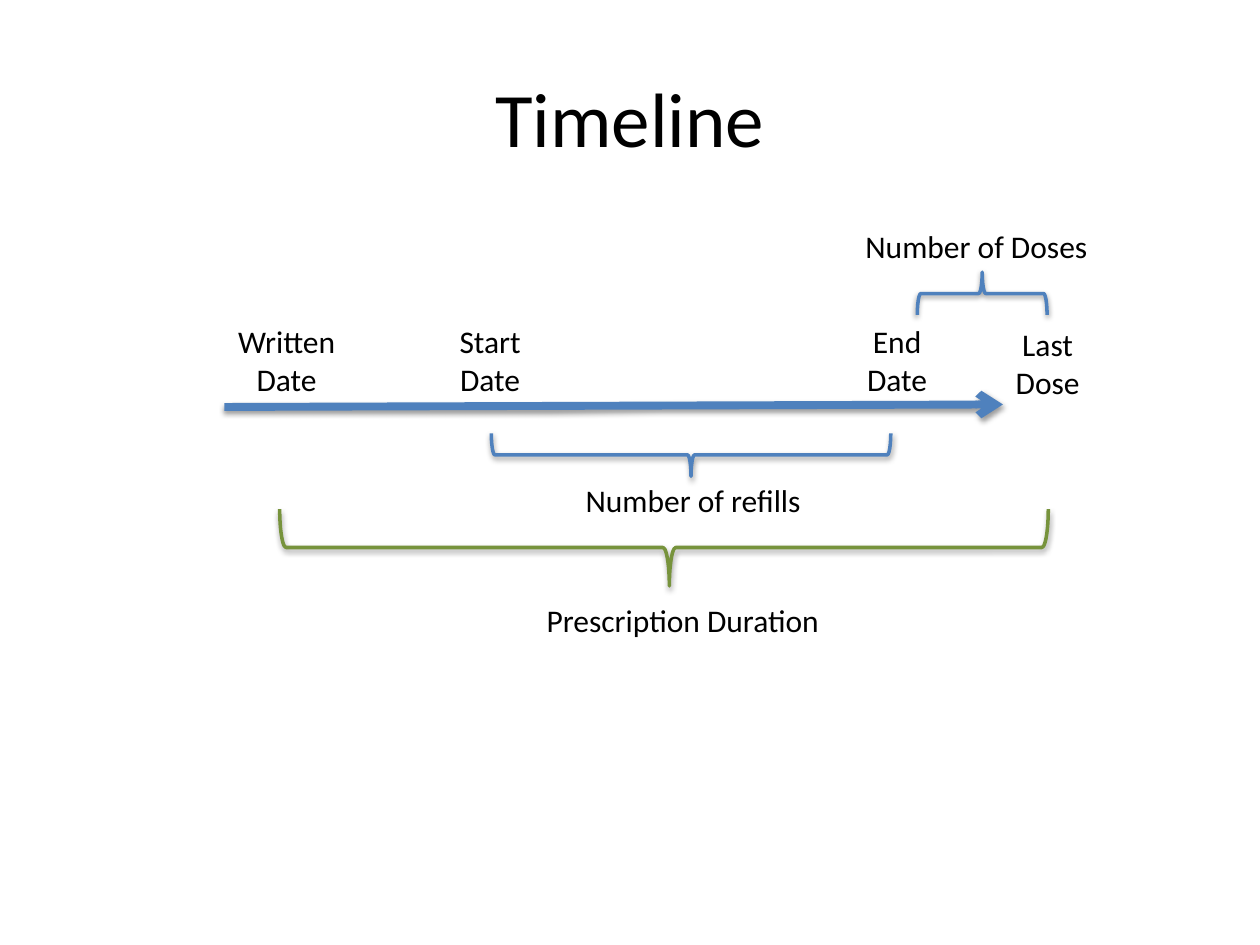
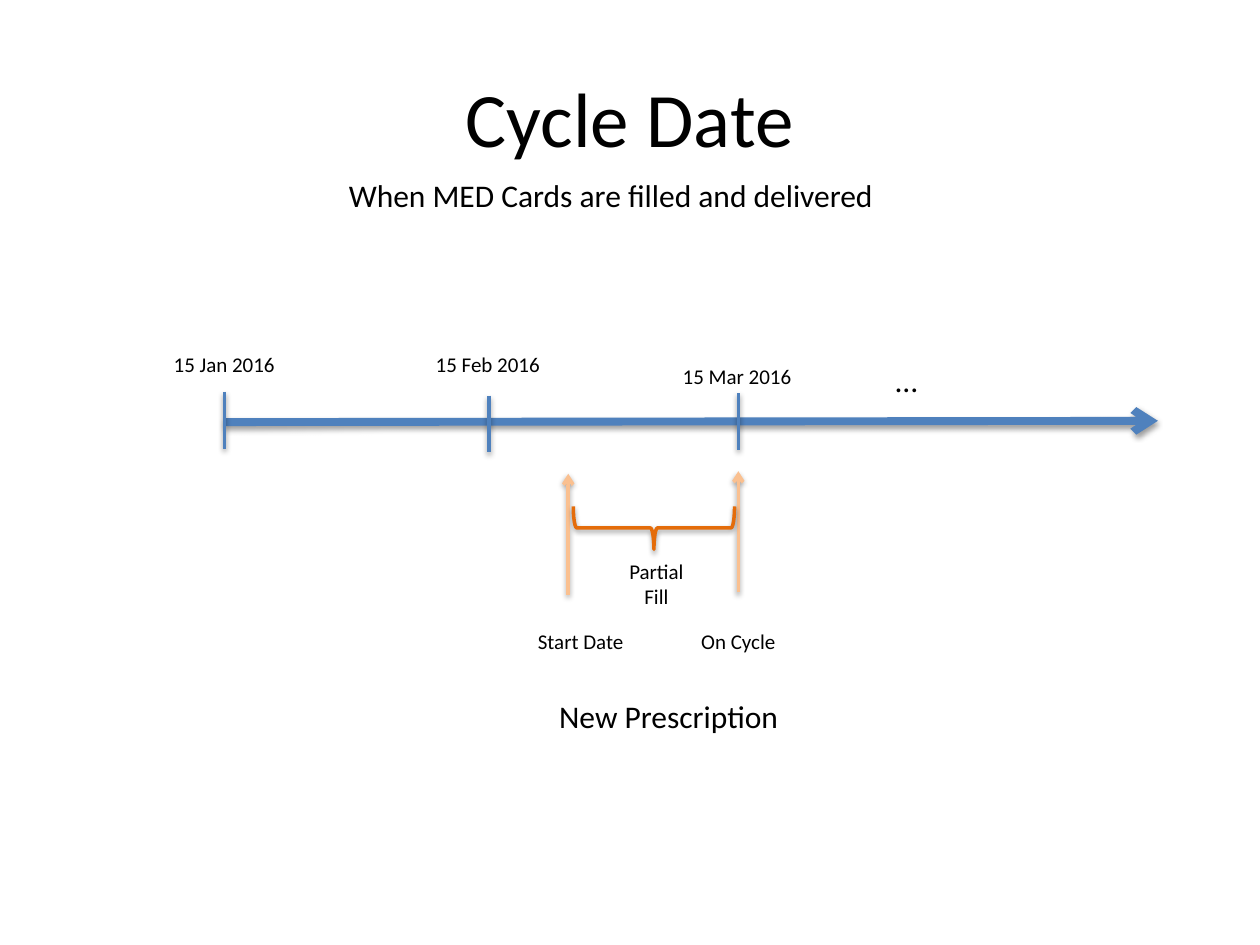
from lxml.etree import SubElement
from pptx import Presentation
from pptx.dml.color import RGBColor
from pptx.enum.shapes import MSO_CONNECTOR, MSO_SHAPE
from pptx.enum.text import MSO_ANCHOR, MSO_AUTO_SIZE, PP_ALIGN
from pptx.oxml.ns import qn
from pptx.util import Inches, Pt

BLUE, GREEN, ORANGE, PEACH = "4F81BD", "77933C", "E46C0A", "FAC090"
BLACK = "000000"


def colour(code):
    return RGBColor.from_string(code)


class Diagram:
    font = "Calibri"

    def __init__(self):
        self.deck = Presentation()
        self.deck.slide_width = Inches(10)
        self.deck.slide_height = Inches(7.5)
        self.page = None

    def start(self, title):
        self.page = self.deck.slides.add_slide(self.deck.slide_layouts[6])
        box = self.text(title, 0.5, 0.3, 9, 1.25, 44, PP_ALIGN.CENTER, wrap=True)
        box.text_frame.auto_size = MSO_AUTO_SIZE.NONE
        box.text_frame.vertical_anchor = MSO_ANCHOR.MIDDLE

    def text(self, words, left, top, width, height=0.4, size=18,
             align=PP_ALIGN.LEFT, wrap=False):
        box = self.page.shapes.add_textbox(
            Inches(left), Inches(top), Inches(width), Inches(height))
        frame = box.text_frame
        frame.text = words
        frame.word_wrap = wrap
        frame.auto_size = MSO_AUTO_SIZE.SHAPE_TO_FIT_TEXT
        for para in frame.paragraphs:
            para.alignment = align
            for span in para.runs:
                span.font.name = self.font
                span.font.size = Pt(size)
                span.font.color.rgb = colour(BLACK)
        return box

    def outline(self, shape, code, weight):
        shape.line.color.rgb = colour(code)
        shape.line.width = Pt(weight)
        effects = SubElement(shape.element.spPr, qn("a:effectLst"))
        shadow = SubElement(effects, qn("a:outerShdw"), blurRad="40000",
                            dist="20000", dir="5400000", rotWithShape="0")
        tint = SubElement(shadow, qn("a:srgbClr"), val=BLACK)
        SubElement(tint, qn("a:alpha"), val="38000")

    def line(self, x1, y1, x2, y2, code=BLUE, weight=2, arrow=False):
        connector = self.page.shapes.add_connector(
            MSO_CONNECTOR.STRAIGHT, Inches(x1), Inches(y1), Inches(x2), Inches(y2))
        self.outline(connector, code, weight)
        if arrow:
            stroke = connector.element.spPr.find(qn("a:ln"))
            SubElement(stroke, qn("a:tailEnd"), type="arrow")

    def brace(self, left, top, width, height, code=BLUE, rotation=270, point=0.5):
        shape = self.page.shapes.add_shape(
            MSO_SHAPE.LEFT_BRACE,
            Inches(left + (width - height) / 2), Inches(top + (height - width) / 2),
            Inches(height), Inches(width))
        shape.rotation = rotation
        shape.adjustments[1] = point
        shape.fill.background()
        self.outline(shape, code, 2)


diagram = Diagram()

diagram.start("Timeline")
diagram.line(1.78, 3.23, 7.96, 3.21, weight=4.5, arrow=True)
for words, left, top, width in [("Written\nDate", 1.78, 2.51, 0.99),
                                ("Start\nDate", 3.54, 2.51, 0.7),
                                ("End\nDate", 6.77, 2.51, 0.7),
                                ("Last\nDose", 7.96, 2.53, 0.71)]:
    diagram.text(words, left, top, width, 0.71, align=PP_ALIGN.CENTER)
diagram.brace(3.9, 3.44, 3.17, 0.34)
diagram.text("Number of refills", 4.55, 3.77, 1.93)
diagram.brace(7.28, 2.16, 1.03, 0.34, rotation=90)
diagram.text("Number of Doses", 6.77, 1.75, 1.98)
diagram.brace(2.22, 4.04, 6.1, 0.61, GREEN, point=0.507)
diagram.text("Prescription Duration", 4.24, 4.72, 2.4)

diagram.start("Cycle Date")
diagram.text("When MED Cards are filled and delivered", 2.67, 1.35, 4.43)
diagram.line(1.78, 3.35, 9.19, 3.34, weight=4.5, arrow=True)
for words, left, top, width, tick_x, tick_y in [
        ("15 Jan 2016", 1.28, 2.74, 1.01, 1.78, 3.11),
        ("15 Feb 2016", 3.36, 2.74, 1.04, 3.88, 3.14),
        ("15 Mar 2016", 5.32, 2.84, 1.07, 5.86, 3.12)]:
    diagram.text(words, left, top, width, 0.3, 12)
    diagram.line(tick_x, tick_y, tick_x, tick_y + 0.45)
diagram.text("…", 7.01, 2.82, 0.95, wrap=True)
for x, tip in [(4.51, 3.76), (5.86, 3.74)]:
    diagram.line(x, tip + 0.96, x, tip, PEACH, arrow=True)
diagram.text("Start Date", 4.17, 4.94, 0.89, 0.3, 12)
diagram.brace(4.55, 4.02, 1.28, 0.34, ORANGE)
diagram.text("Partial\nFill", 4.89, 4.38, 0.64, 0.5, 12, PP_ALIGN.CENTER)
diagram.text("On Cycle", 5.36, 4.94, 1, 0.3, 12, PP_ALIGN.CENTER, wrap=True)
diagram.text("New Prescription", 4.34, 5.48, 1.96)

diagram.deck.save("out.pptx")
